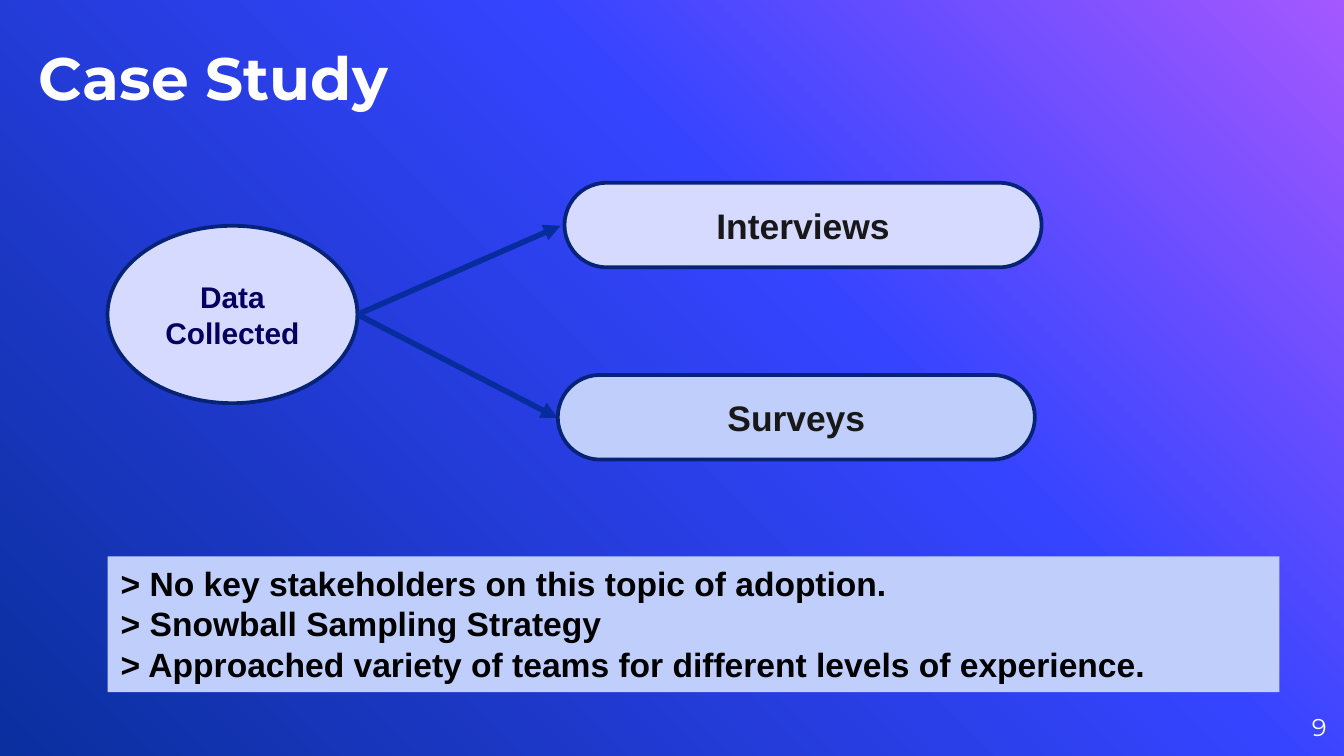
from copy import deepcopy

from lxml import etree
from pptx import Presentation
from pptx import util as u
from pptx.dml.color import RGBColor
from pptx.enum import shapes, text
from pptx.oxml.ns import qn

WHITE = RGBColor(0xFF, 0xFF, 0xFF)
BLACK = RGBColor(0x00, 0x00, 0x00)
CHARCOAL = RGBColor(0x18, 0x18, 0x18)
INDIGO = RGBColor(0x05, 0x00, 0x60)
LAVENDER = RGBColor(0xD7, 0xDA, 0xFF)
PALE_BLUE = RGBColor(0xBF, 0xCE, 0xFB)
NAVY = RGBColor(0x07, 0x23, 0x75)
ARROW_BLUE = RGBColor(0x06, 0x2C, 0x9E)
VIOLET = RGBColor(0xA4, 0x58, 0xFF)
BRIGHT_BLUE = RGBColor(0x35, 0x44, 0xFF)
DEEP_BLUE = RGBColor(0x0A, 0x2F, 0x9E)

ALIGN = text.PP_ALIGN
ANCHOR = text.MSO_ANCHOR
SHAPE = shapes.MSO_SHAPE


def write(holder, words, *, size, color, font="Arial", bold=True,
          align=ALIGN.LEFT, anchor=ANCHOR.MIDDLE, inset=None):
    frame = holder.text_frame
    frame.word_wrap = True
    frame.vertical_anchor = anchor
    if inset is not None:
        frame.margin_left = frame.margin_right = u.Inches(inset)
        frame.margin_top = frame.margin_bottom = u.Inches(inset)
    paragraph = frame.paragraphs[0]
    paragraph.text = words
    paragraph.alignment = align
    for run in paragraph.runs:
        run.font.name = font
        run.font.size = u.Pt(size)
        run.font.bold = bold
        run.font.color.rgb = color


def add_box(kind, left, top, width, height, fill, outlined=True):
    box = slide.shapes.add_shape(
        kind, u.Inches(left), u.Inches(top), u.Inches(width), u.Inches(height))
    box.shadow.inherit = False
    box.fill.solid()
    box.fill.fore_color.rgb = fill
    if outlined:
        box.line.color.rgb = NAVY
        box.line.width = u.Pt(2)
    else:
        box.line.fill.background()
    return box


# Widescreen 16:9 slide
prs = Presentation()
prs.slide_width = u.Inches(10)
prs.slide_height = u.Inches(10) * 9 // 16
slide = prs.slides.add_slide(prs.slide_layouts[6])

# Background: three-stop gradient from top right to bottom left
backdrop = slide.background.fill
backdrop.gradient()
backdrop.gradient_angle = 225
stop_list = slide.element.find(".//" + qn("a:gsLst"))
stop_list.insert(1, deepcopy(stop_list[0]))
stops = [(0, VIOLET), (0.39, BRIGHT_BLUE), (1, DEEP_BLUE)]
for stop, (position, color) in zip(backdrop.gradient_stops, stops):
    stop.position = position
    stop.color.rgb = color

# Title and page number
title = slide.shapes.add_textbox(
    u.Inches(0.29), u.Inches(0.21), u.Inches(4.74), u.Inches(0.63))
write(title, "Case Study", size=32, color=WHITE, font="Montserrat",
      anchor=ANCHOR.BOTTOM, inset=0)
page_number = slide.shapes.add_textbox(
    u.Inches(9.27), u.Inches(5.19), u.Inches(0.6), u.Inches(0.43))
write(page_number, "9", size=13, color=WHITE, font="Montserrat", bold=False,
      align=ALIGN.RIGHT, inset=0)

# Source of the branches
data_collected = add_box(SHAPE.OVAL, 0.8, 1.68, 1.86, 1.32, LAVENDER)
write(data_collected, "Data Collected", size=16, color=INDIGO, align=ALIGN.CENTER)

# Arrows to the two methods
for end_x, end_y in [(4.17, 1.68), (4.15, 3.11)]:
    arrow = slide.shapes.add_connector(
        shapes.MSO_CONNECTOR.STRAIGHT,
        u.Inches(2.66), u.Inches(2.34), u.Inches(end_x), u.Inches(end_y))
    arrow.line.color.rgb = ARROW_BLUE
    arrow.line.width = u.Pt(3)
    properties = arrow.element.spPr
    etree.SubElement(properties.find(qn("a:ln")), qn("a:tailEnd"), type="triangle")
    etree.SubElement(properties, qn("a:effectLst"))

# Collection methods
methods = [("Interviews", 4.2, 1.36, LAVENDER), ("Surveys", 4.15, 2.79, PALE_BLUE)]
for name, left, top, fill in methods:
    method = add_box(SHAPE.ROUNDED_RECTANGLE, left, top, 3.55, 0.63, fill)
    method.adjustments[0] = 0.5
    write(method, name, size=19, color=CHARCOAL, align=ALIGN.CENTER)

# Sampling notes
sampling = add_box(SHAPE.RECTANGLE, 0.8, 4.14, 8.72, 1.01, PALE_BLUE, outlined=False)
write(sampling,
      "> No key stakeholders on this topic of adoption.\n"
      "> Snowball Sampling Strategy\n"
      "> Approached variety of teams for different levels of experience.",
      size=18, color=BLACK, anchor=ANCHOR.TOP)
sampling.text_frame.auto_size = text.MSO_AUTO_SIZE.SHAPE_TO_FIT_TEXT

prs.save("out.pptx")
